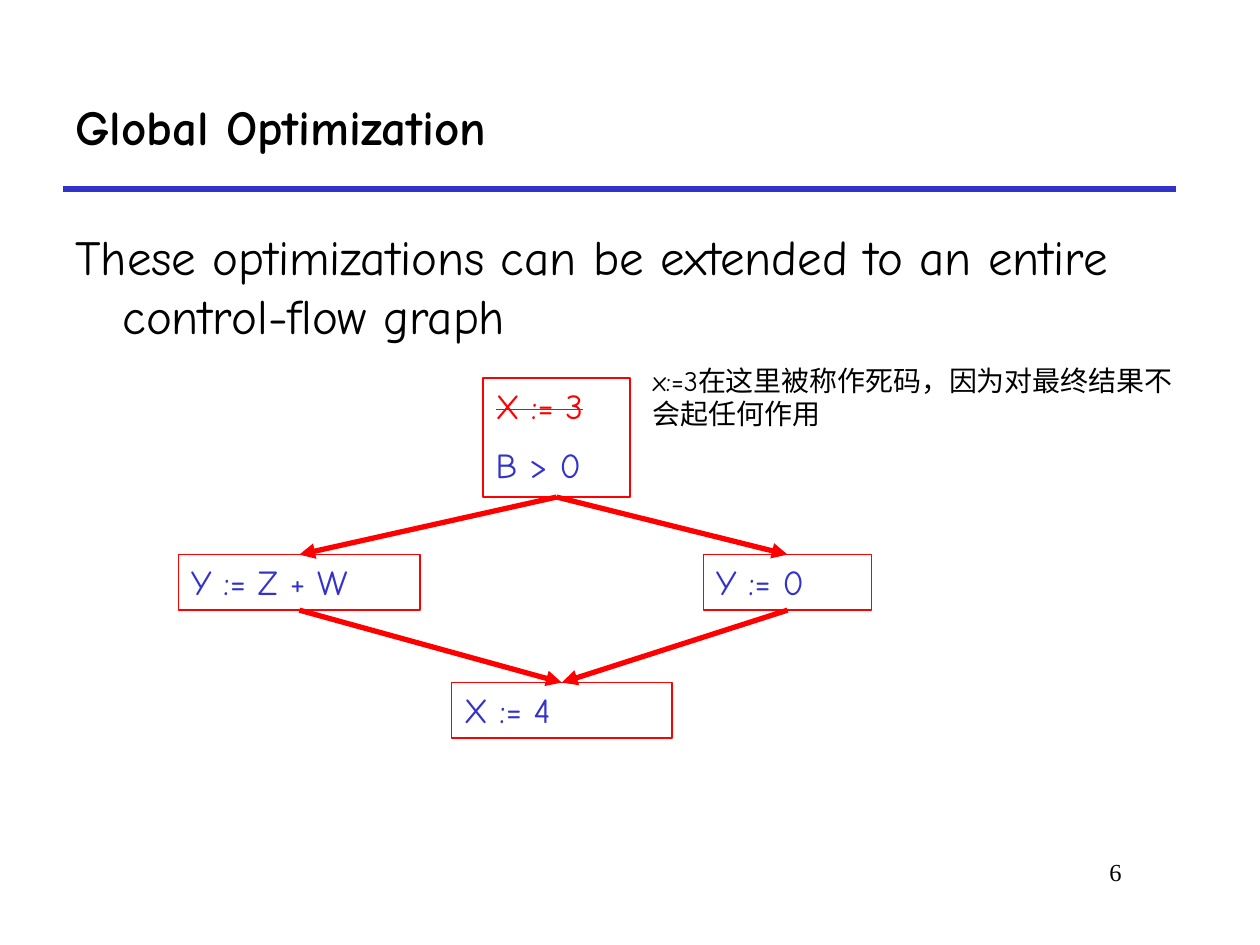
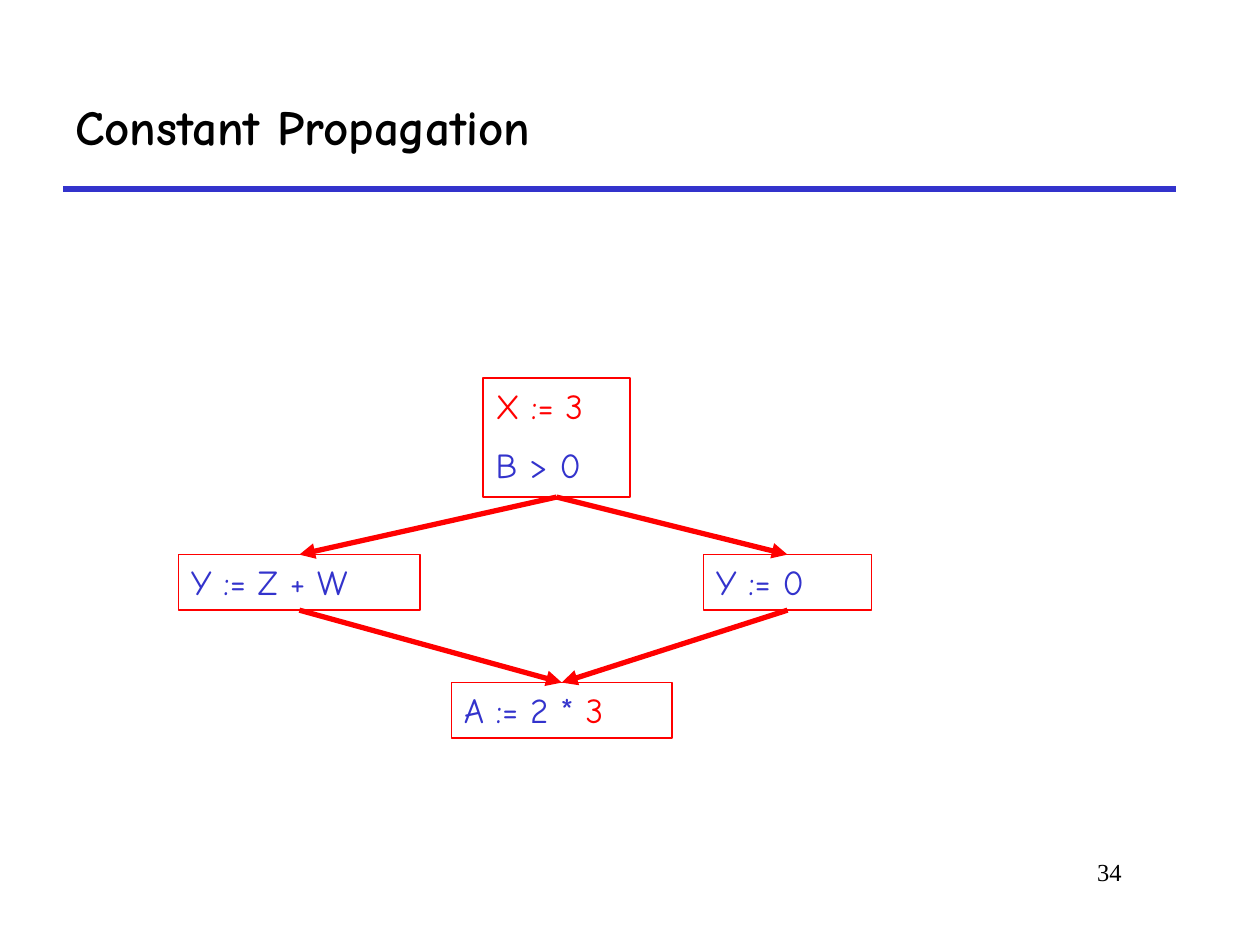
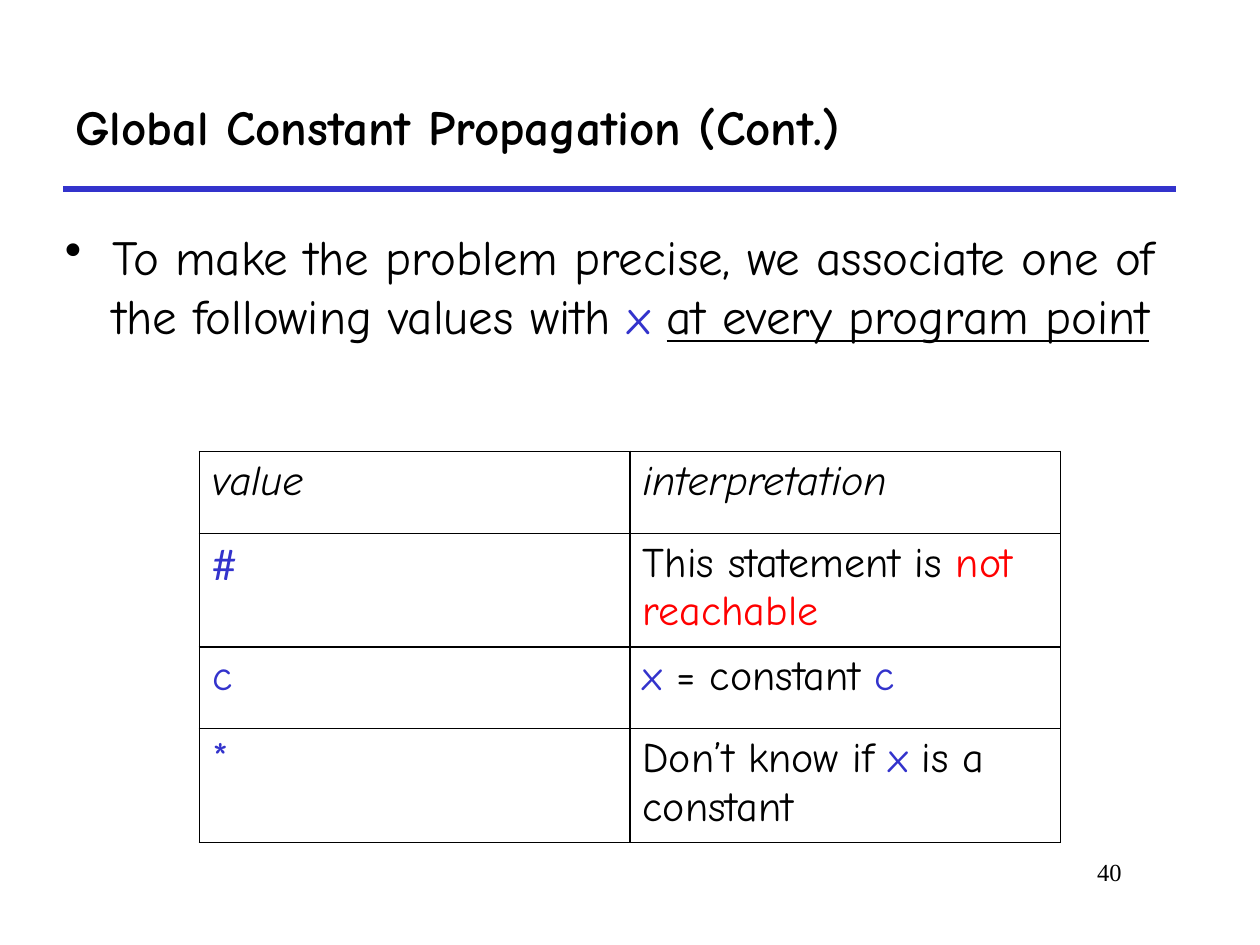
"""Builds three compiler lecture slides on global optimization and constant propagation."""
from lxml.etree import SubElement
from pptx import Presentation
from pptx.dml.color import RGBColor
from pptx.enum.shapes import MSO_CONNECTOR as Connector, MSO_SHAPE as Shape
from pptx.enum.text import MSO_ANCHOR as Anchor, PP_ALIGN as Align
from pptx.oxml.ns import qn
from pptx.util import Cm, Pt

COLORS = {"black": "000000", "blue": "3333CC", "red": "FF0000"}
FONT = "Comic Neue"
NUMBER_FONT = "Times New Roman"


def write_text(frame, paragraphs, size, gap=0):
    """Fill a text frame with paragraphs made of (text, color, font settings) runs."""
    frame.word_wrap = True
    for index, pieces in enumerate(paragraphs):
        paragraph = frame.add_paragraph() if index else frame.paragraphs[0]
        paragraph.alignment = Align.LEFT
        if index:
            paragraph.space_before = Pt(gap)
        for text, color, settings in pieces:
            run = paragraph.add_run()
            run.text = text
            run.font.size = Pt(size)
            run.font.name = FONT
            run.font.color.rgb = RGBColor.from_string(COLORS[color])
            for name, value in settings.items():
                setattr(run.font, name, value)


def add_line(slide, color, start=(0, 0), end=(0, 0)):
    """Add a thick straight connector without a shadow."""
    points = [Cm(value) for value in (*start, *end)]
    line = slide.shapes.add_connector(Connector.STRAIGHT, *points)
    line.line.color.rgb = RGBColor.from_string(COLORS[color])
    line.line.width = Pt(3)
    SubElement(line._element.spPr, qn("a:effectLst"))
    return line


presentation = Presentation()
presentation.slide_width = Cm(25.4)
presentation.slide_height = Cm(19.05)

headings = [
    ("Global Optimization", "6"),
    ("Constant Propagation", "34"),
    ("Global Constant Propagation (Cont.)", "40"),
]
slides = []
for title, number in headings:
    slide = presentation.slides.add_slide(presentation.slide_layouts[6])
    slides.append(slide)
    add_line(slide, "blue", (1.27, 3.81), (23.71, 3.81))
    number_box = slide.shapes.add_textbox(Cm(17.57), Cm(17.15), Cm(5.29), Cm(1.27))
    write_text(number_box.text_frame, [[(number, "black", {"name": NUMBER_FONT})]], 14)
    number_box.text_frame.paragraphs[0].alignment = Align.RIGHT
    title_box = slide.shapes.add_textbox(Cm(1.27), Cm(1.27), Cm(22.43), Cm(2.54))
    title_box.text_frame.vertical_anchor = Anchor.MIDDLE
    write_text(title_box.text_frame, [[(title, "black", {"bold": True})]], 28)

optimization_slide, propagation_slide, values_slide = slides

bodies = [
    (optimization_slide, (1.27, 4.45, 23.07, 12.28), "", [
        ("These optimizations can be extended to an entire control-flow graph", "black", {}),
    ]),
    (values_slide, (1.06, 4.45, 23.28, 4.02), "•", [
        ("To make the problem precise, we associate one of the following values with ", "black", {}),
        ("x ", "blue", {}),
        ("at every program point", "black", {"underline": True}),
    ]),
]
for slide, position, bullet, pieces in bodies:
    body = slide.shapes.add_textbox(*[Cm(value) for value in position])
    properties = body.text_frame.paragraphs[0]._p.get_or_add_pPr()
    properties.set("marL", str(Cm(0.95)))
    properties.set("indent", str(Cm(-0.95)))
    if bullet:
        SubElement(properties, qn("a:buChar")).set("char", bullet)
    write_text(body.text_frame, [pieces], 28)

block_positions = {
    "entry": (9.74, 7.62, 2.96, 2.4),
    "left": (3.6, 11.18, 4.87, 1.12),
    "right": (14.18, 11.18, 3.39, 1.12),
    "exit": (9.1, 13.76, 4.45, 1.12),
}
flow_edges = [("entry", "left"), ("entry", "right"), ("left", "exit"), ("right", "exit")]
exit_statements = [
    (optimization_slide, [("X := 4", "blue", {})]),
    (propagation_slide, [("A := 2 * ", "blue", {}), ("3", "red", {})]),
]
for slide, exit_statement in exit_statements:
    statements = {
        "entry": [[("X := 3", "red", {})], [("B > 0", "blue", {})]],
        "left": [[("Y := Z + W", "blue", {})]],
        "right": [[("Y := 0", "blue", {})]],
        "exit": [exit_statement],
    }
    blocks = {}
    for name, position in block_positions.items():
        block = slide.shapes.add_shape(Shape.RECTANGLE, *[Cm(value) for value in position])
        block.shadow.inherit = False
        block.fill.background()
        block.line.color.rgb = RGBColor.from_string(COLORS["red"])
        block.line.width = Pt(0.75)
        block.text_frame.vertical_anchor = Anchor.TOP
        write_text(block.text_frame, statements[name], 20, gap=10)
        blocks[name] = block
    if slide is optimization_slide:
        dead_run = blocks["entry"].text_frame.paragraphs[0].runs[0]
        dead_run.font._element.set("strike", "sngStrike")
    for source, target in flow_edges:
        arrow = add_line(slide, "red")
        arrow.begin_connect(blocks[source], 2)
        arrow.end_connect(blocks[target], 0)
        SubElement(arrow.line._get_or_add_ln(), qn("a:tailEnd")).set("type", "triangle")

note = optimization_slide.shapes.add_textbox(Cm(12.91), Cm(7.2), Cm(11.22), Cm(1.62))
write_text(note.text_frame, [[("x:=3在这里被称作死码，因为对最终结果不会起任何作用", "black", {})]], 16)

row_heights = [1.65, 2.29, 1.65, 2.29]
value_rows = [
    ([("value", "black", {"italic": True})], [("interpretation", "black", {"italic": True})]),
    ([("#", "blue", {"name": "Lato"})],
     [("This statement is ", "black", {}), ("not reachable", "red", {})]),
    ([("c", "blue", {})],
     [("x", "blue", {}), (" = constant ", "black", {}), ("c", "blue", {})]),
    ([("*", "blue", {})],
     [("Don’t know if", "black", {}), (" x", "blue", {}), (" is a constant", "black", {})]),
]
table = values_slide.shapes.add_table(
    len(value_rows), 2, Cm(4.02), Cm(9.1), Cm(17.36), Cm(sum(row_heights))
).table
table.first_row = False
table.horz_banding = False
for column in table.columns:
    column.width = Cm(8.68)
for row, height, contents in zip(table.rows, row_heights, value_rows):
    row.height = Cm(height)
    for cell, pieces in zip(row.cells, contents):
        write_text(cell.text_frame, [pieces], 24)
        properties = cell._tc.get_or_add_tcPr()
        for side in ("lnL", "lnR", "lnT", "lnB"):
            border = SubElement(properties, qn(f"a:{side}"), w=str(Pt(1)))
            border_fill = SubElement(border, qn("a:solidFill"))
            SubElement(border_fill, qn("a:srgbClr"), val=COLORS["black"])
        cell.fill.background()

presentation.save("out.pptx")
